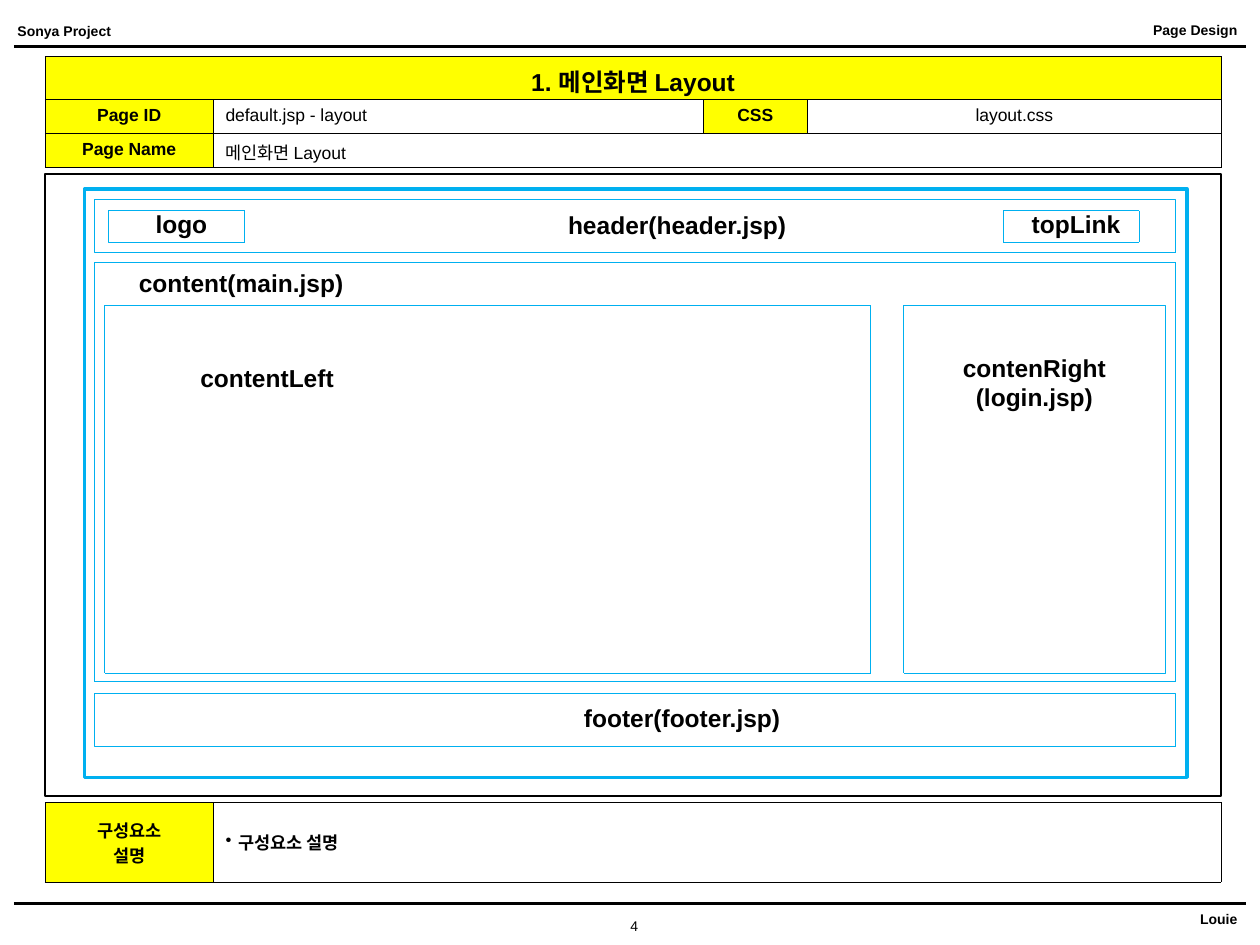
from lxml.etree import SubElement
from pptx import Presentation
from pptx.dml.color import RGBColor
from pptx.enum.dml import MSO_LINE
from pptx.enum.shapes import MSO_CONNECTOR, MSO_SHAPE
from pptx.enum.text import MSO_ANCHOR, PP_ALIGN
from pptx.oxml.ns import qn
from pptx.util import Inches, Pt

BLACK, YELLOW, BLUE = "000000", "FFFF00", "00B0F0"
LEFT, CENTER, RIGHT = PP_ALIGN.LEFT, PP_ALIGN.CENTER, PP_ALIGN.RIGHT
TABLE_LEFT, TABLE_WIDTH = 0.36, 9.33

MARGIN_TEXTS = [
    ("Page Design", 9.05, 0.12, 0.87, RIGHT, True),
    ("Sonya Project", 0.04, 0.13, 1, LEFT, True),
    ("4", 4.68, 7.23, 0.71, CENTER, False),
    ("Louie", 9.42, 7.18, 0.5, RIGHT, True),
]
RULES = [0.37, 7.17]
FRAMES = [
    (TABLE_LEFT, 1.38, TABLE_WIDTH, 4.94, BLACK, 1, None),
    (0.67, 1.5, 8.75, 4.67, BLUE, 2, None),
]
REGIONS = [
    (0.75, 1.58, 8.58, 0.42),
    (0.75, 2.08, 8.58, 3.33),
    (0.75, 5.5, 8.58, 0.42),
    (0.83, 2.42, 6.08, 2.92),
    (7.17, 2.42, 2.08, 2.92),
    (0.86, 1.67, 1.08, 0.25),
    (7.96, 1.67, 1.08, 0.25),
]
LABELS = [
    (["header(header.jsp)"], 4.25, 1.62, 2.25),
    (["contentLeft"], 1.33, 2.83, 1.58),
    (["content(main.jsp)"], 0.75, 2.08, 2.33),
    (["contenRight", "(login.jsp)"], 7.42, 2.75, 1.58),
    (["footer(footer.jsp)"], 4.33, 5.53, 2.17),
    (["logo"], 0.65, 1.61, 1.58),
    (["topLink"], 7.75, 1.61, 1.58),
]
PAGE_COLS, PAGE_ROWS = [1.33, 3.89, 0.83, 3.28], [0.34, 0.27, 0.27]
PAGE_CELLS = [
    (0, 0, 4, ["1. 메인화면 Layout"], 14, CENTER, True, YELLOW),
    (1, 0, 1, ["Page ID"], 10, CENTER, True, YELLOW),
    (1, 1, 1, ["default.jsp - layout"], 10, LEFT, False, None),
    (1, 2, 1, ["CSS"], 10, CENTER, True, YELLOW),
    (1, 3, 1, ["layout.css"], 10, CENTER, False, None),
    (2, 0, 1, ["Page Name"], 10, CENTER, True, YELLOW),
    (2, 1, 3, ["메인화면 Layout"], 10, LEFT, False, None),
]
NOTE_COLS, NOTE_ROWS = [1.33, 8], [0.63]
NOTE_CELLS = [
    (0, 0, 1, ["구성요소", "설명"], 10, CENTER, True, YELLOW),
    (0, 1, 1, ["구성요소 설명"], 10, LEFT, True, None),
]


def rgb(color):
    return RGBColor.from_string(color)


def write(tf, lines, size, align, bold):
    for i, line in enumerate(lines):
        p = tf.paragraphs[0] if i == 0 else tf.add_paragraph()
        p.alignment = align
        r = p.add_run()
        r.text = line
        r.font.name, r.font.size, r.font.bold = "Arial", Pt(size), bold
        r.font.color.rgb = rgb(BLACK)


def add_text(s, lines, x, y, w, size, align, bold):
    h = 0.1 + len(lines) * size * 1.2 / 72
    tf = s.shapes.add_textbox(Inches(x), Inches(y), Inches(w), Inches(h)).text_frame
    tf.word_wrap = True
    write(tf, lines, size, align, bold)


def add_rule(s, y):
    line = s.shapes.add_connector(
        MSO_CONNECTOR.STRAIGHT, Inches(0.11), Inches(y), Inches(9.89), Inches(y))
    line.line.color.rgb, line.line.width = rgb(BLACK), Pt(1.75)
    SubElement(line._element.spPr, qn("a:effectLst"))


def add_frame(s, x, y, w, h, color, width, dash):
    sp = s.shapes.add_shape(
        MSO_SHAPE.RECTANGLE, Inches(x), Inches(y), Inches(w), Inches(h))
    sp.shadow.inherit = False
    sp.fill.background()
    sp.line.color.rgb, sp.line.width = rgb(color), Pt(width)
    if dash:
        sp.line.dash_style = dash


def add_borders(cell):
    tcPr = cell._tc.get_or_add_tcPr()
    for side in ("lnL", "lnR", "lnT", "lnB"):
        ln = SubElement(tcPr, qn(f"a:{side}"), w=str(Pt(0.45)))
        SubElement(SubElement(ln, qn("a:solidFill")), qn("a:srgbClr"), val=BLACK)


def add_bullet(p):
    pPr = p._p.get_or_add_pPr()
    pPr.set("marL", str(Inches(0.1)))
    pPr.set("indent", str(Inches(-0.1)))
    SubElement(pPr, qn("a:buChar"), char="•")


def add_table(s, y, cols, rows, cells, anchor):
    table = s.shapes.add_table(
        len(rows), len(cols), Inches(TABLE_LEFT), Inches(y),
        Inches(TABLE_WIDTH), Inches(sum(rows))).table
    table.first_row = table.horz_banding = False
    for col, w in zip(table.columns, cols):
        col.width = Inches(w)
    for row, h in zip(table.rows, rows):
        row.height = Inches(h)
    for cell in table.iter_cells():
        add_borders(cell)
        cell.fill.background()
    for row, col, span, lines, size, align, bold, fill in cells:
        cell = table.cell(row, col)
        if span > 1:
            cell.merge(table.cell(row, col + span - 1))
        if fill:
            cell.fill.solid()
            cell.fill.fore_color.rgb = rgb(fill)
        cell.vertical_anchor = anchor
        write(cell.text_frame, lines, size, align, bold)
    return table


def main():
    prs = Presentation()
    prs.slide_width, prs.slide_height = Inches(10), Inches(7.5)
    s = prs.slides.add_slide(prs.slide_layouts[6])
    for text, x, y, w, align, bold in MARGIN_TEXTS:
        add_text(s, [text], x, y, w, 8, align, bold)
    for y in RULES:
        add_rule(s, y)
    add_table(s, 0.45, PAGE_COLS, PAGE_ROWS, PAGE_CELLS, MSO_ANCHOR.TOP)
    notes = add_table(s, 6.37, NOTE_COLS, NOTE_ROWS, NOTE_CELLS, MSO_ANCHOR.MIDDLE)
    add_bullet(notes.cell(0, 1).text_frame.paragraphs[0])
    for frame in FRAMES:
        add_frame(s, *frame)
    for region in REGIONS:
        add_frame(s, *region, BLUE, 0.25, MSO_LINE.ROUND_DOT)
    for lines, x, y, w in LABELS:
        add_text(s, lines, x, y, w, 14, CENTER, True)
    prs.save("out.pptx")


if __name__ == "__main__":
    main()
